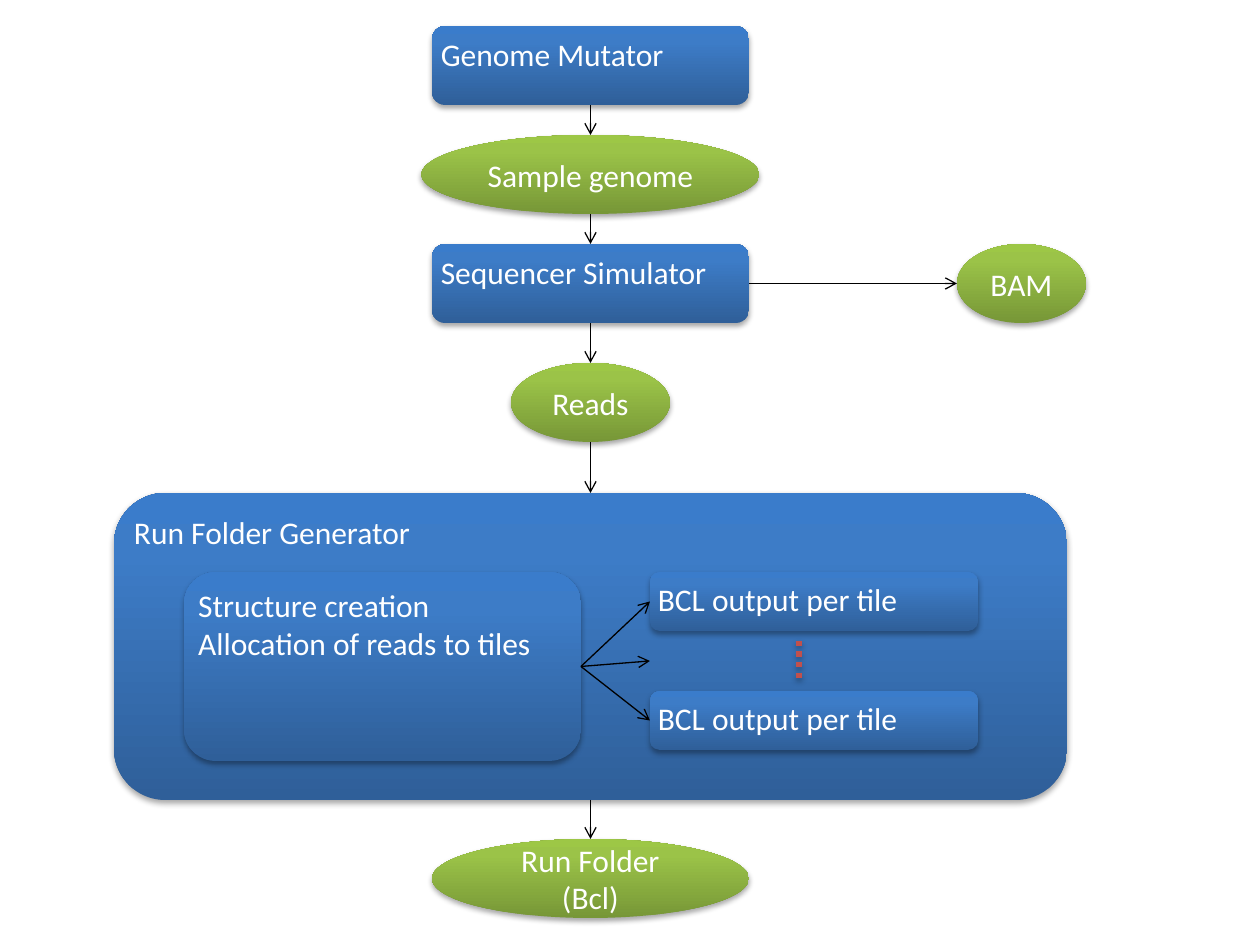
from copy import deepcopy
from lxml import etree
from pptx import Presentation
from pptx.dml.color import RGBColor
from pptx.enum.dml import MSO_LINE
from pptx.enum.shapes import MSO_CONNECTOR, MSO_SHAPE
from pptx.enum.text import MSO_ANCHOR, PP_ALIGN
from pptx.oxml.ns import qn
from pptx.util import Pt

PX = 914400 // 126
ROUND, OVAL = MSO_SHAPE.ROUNDED_RECTANGLE, MSO_SHAPE.OVAL
LINE, DOTS = MSO_CONNECTOR.STRAIGHT, MSO_LINE.ROUND_DOT
TOP, MIDDLE = MSO_ANCHOR.TOP, MSO_ANCHOR.MIDDLE
LEFT, CENTER = PP_ALIGN.LEFT, PP_ALIGN.CENTER

WHITE = RGBColor(0xFF, 0xFF, 0xFF)
BLACK = RGBColor(0, 0, 0)
RED = RGBColor(0xC0, 0x50, 0x4D)
BLUES = (RGBColor(0x2F, 0x5F, 0x99), RGBColor(0x3D, 0x7C, 0xC7),
         RGBColor(0x3A, 0x7C, 0xCB))
GREENS = (RGBColor(0x77, 0x97, 0x37), RGBColor(0x9B, 0xC3, 0x48),
          RGBColor(0x9D, 0xC7, 0x46))
STOPS = (0, 0.8, 1)

# Content: main flow, centred on one axis (name, kind, text, top, width, height)
AXIS = 590.5
FLOW = [
    ("mutator", ROUND, "Genome Mutator", 26, 317, 79),
    ("sample", OVAL, "Sample genome", 135, 338, 79),
    ("sequencer", ROUND, "Sequencer Simulator", 244, 317, 79),
    ("reads", OVAL, "Reads", 363, 159, 79),
    ("generator", ROUND, "Run Folder Generator", 493, 953, 307),
    ("folder", OVAL, "Run Folder (Bcl)", 839, 317, 79),
]
# Content: side parts (name, kind, text, left, top, width, height)
SIDE = [
    ("bam", OVAL, "BAM", 957, 244, 129, 79),
    ("structure", ROUND, "Structure creation\nAllocation of reads to tiles",
     184, 572, 397, 189),
    ("first", ROUND, "BCL output per tile", 650, 572, 328, 59),
    ("last", ROUND, "BCL output per tile", 650, 691, 328, 59),
]
DOT_X, DOT_TOP, DOT_END = 799, 641, 680

deck = Presentation()
deck.slide_width, deck.slide_height = 1260 * PX, 945 * PX
slide = deck.slides.add_slide(deck.slide_layouts[6])


def emu(*vals):
    return [round(v * PX) for v in vals]


def cast(props, shade):
    """Put an effect list in place, with a soft shadow below if wanted."""
    old = props.find(qn("a:effectLst"))
    fx = etree.SubElement(props, qn("a:effectLst")) if old is None else old
    if shade:
        drop = etree.SubElement(fx, qn("a:outerShdw"), blurRad="40000",
                                dist="23000", dir="5400000", rotWithShape="0")
        tint = etree.SubElement(drop, qn("a:srgbClr"), val="000000")
        etree.SubElement(tint, qn("a:alpha"), val="35000")


def add_node(kind, text, *box):
    node = slide.shapes.add_shape(kind, *emu(*box))
    oval = kind == OVAL
    # Three-stop gradient, dark at the foot
    node.fill.gradient()
    node.fill.gradient_angle = 90
    stops = node._element.spPr.find(".//" + qn("a:gsLst"))
    stops.append(deepcopy(stops[-1]))
    tones = GREENS if oval else BLUES
    for stop, pos, tone in zip(node.fill.gradient_stops, STOPS, tones):
        stop.position = pos
        stop.color.rgb = tone
    node.line.fill.background()
    node.shadow.inherit = False
    cast(node._element.spPr, True)
    # Text
    frame = node.text_frame
    frame.text = text
    frame.word_wrap = True
    frame.vertical_anchor = MIDDLE if oval else TOP
    if not oval:
        frame.margin_left = frame.margin_right = 5 * PX
        frame.margin_top = frame.margin_bottom = 5 * PX
    for para in frame.paragraphs:
        para.alignment = CENTER if oval else LEFT
        for run in para.runs:
            run.font.size = Pt(18)
            run.font.name = "Calibri"
            run.font.color.rgb = WHITE


def add_line(start, end, tone=BLACK, width=0.75, dots=False):
    link = slide.shapes.add_connector(LINE, *emu(*start, *end))
    link.line.color.rgb = tone
    link.line.width = Pt(width)
    if dots:
        link.line.dash_style = DOTS
    else:
        etree.SubElement(link.line._get_or_add_ln(), qn("a:tailEnd"),
                         type="arrow")
    cast(link._element.spPr, dots)


def west(box):
    return box[0], box[1] + box[3] / 2


def east(box):
    return box[0] + box[2], box[1] + box[3] / 2


# Nodes
boxes = {}
for name, kind, text, top, wide, high in FLOW:
    boxes[name] = (AXIS - wide / 2, top, wide, high)
    add_node(kind, text, *boxes[name])
for name, kind, text, *box in SIDE:
    boxes[name] = box
    add_node(kind, text, *box)

# Arrows down the main flow
for upper, lower in zip(FLOW, FLOW[1:]):
    add_line((AXIS, upper[3] + upper[5]), (AXIS, lower[3]))

# Side arrow and fan to the tiles
add_line(east(boxes["sequencer"]), west(boxes["bam"]))
first, last = west(boxes["first"]), west(boxes["last"])
between = (first[0], (first[1] + last[1]) / 2)
for end in (first, between, last):
    add_line(east(boxes["structure"]), end)

# Dots between the tiles
add_line((DOT_X, DOT_TOP), (DOT_X, DOT_END), RED, 3, True)

deck.save("out.pptx")
